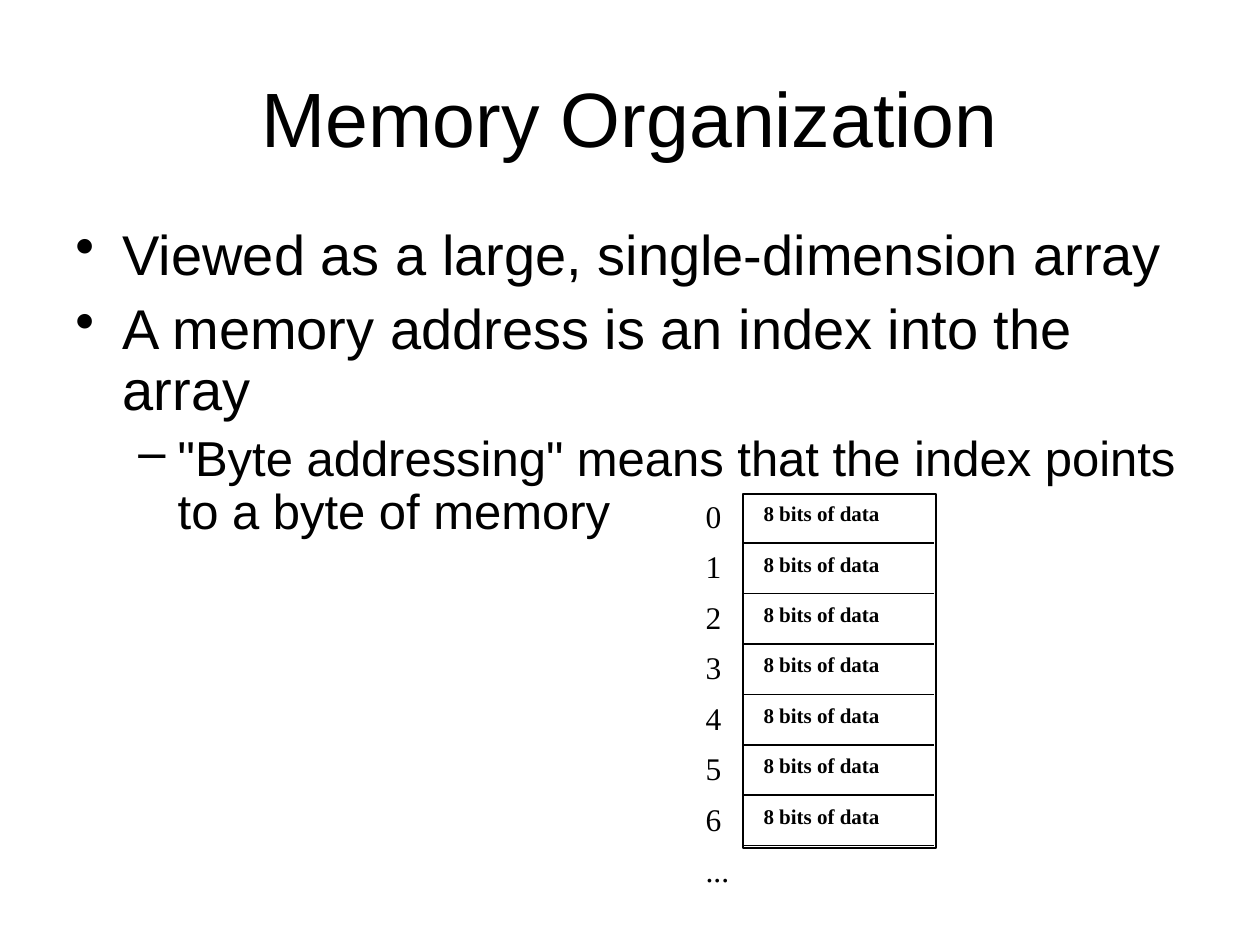
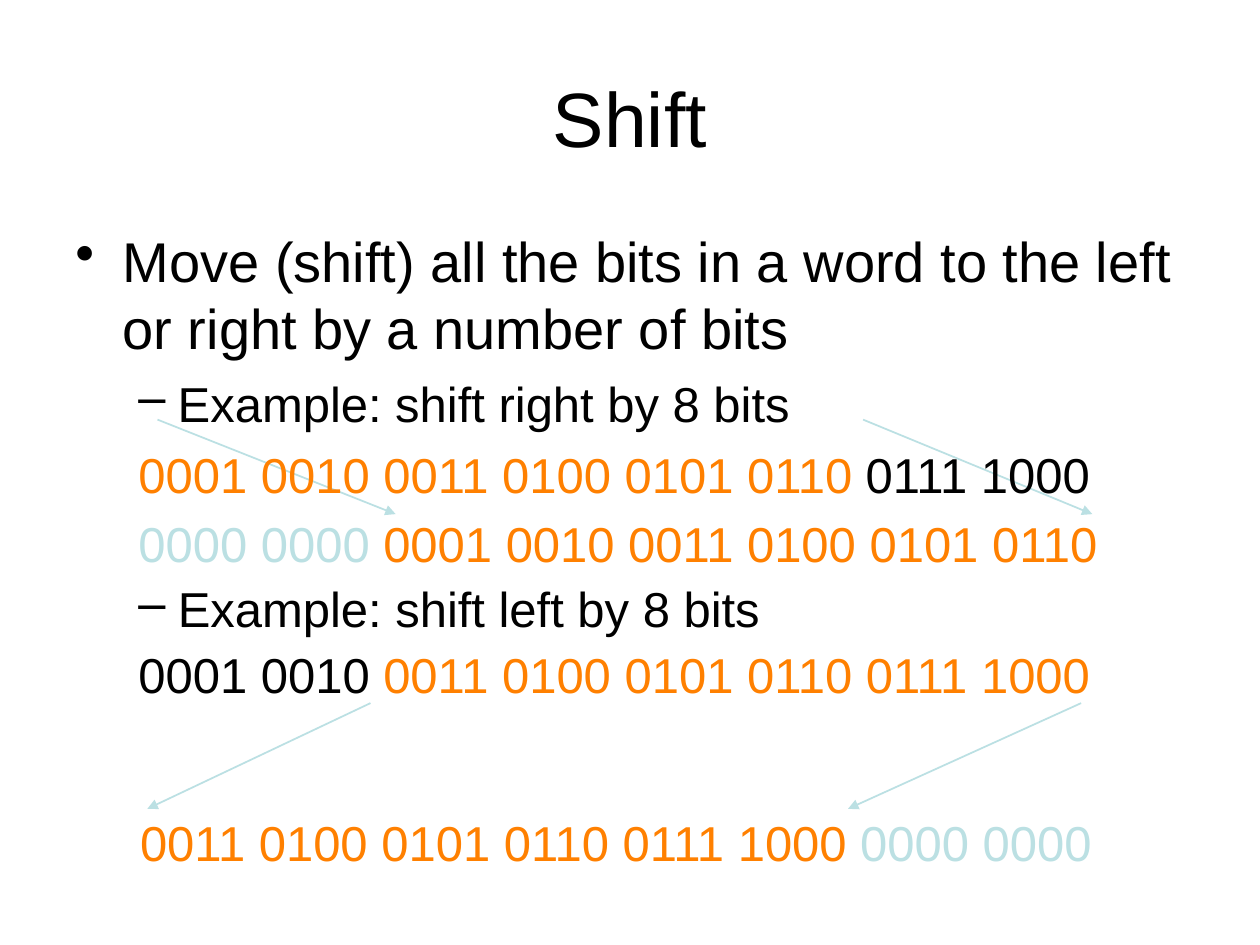
from lxml import etree
from pptx import Presentation
from pptx.dml.color import RGBColor
from pptx.enum import shapes, text
from pptx.oxml import ns
from pptx.util import Pt

BLACK = RGBColor(0x00, 0x00, 0x00)
WHITE = RGBColor(0xFF, 0xFF, 0xFF)
ORANGE = RGBColor(0xFF, 0x80, 0x00)
PALE_TEAL = RGBColor(0xBB, 0xE0, 0xE3)

SANS = "Arial"
SERIF = "Times New Roman"

TITLE_AREA = (36, 21.6, 648, 90)
BODY_AREA = (36, 126, 648, 356.4)
SHIFT_LEFT_AREA = (36, 293.76, 653.76, 113.76)
RESULT_AREA = (36, 462.24, 635.76, 37.44)

TITLE = dict(size=44, align=text.PP_ALIGN.CENTER)
POINT = dict(size=32, margin=27, indent=-27, before=8, bullet="•")
SUBPOINT = dict(size=28, level=1, margin=58.5, indent=-22.5, before=7, bullet="–")
BITS = dict(SUBPOINT, bullet=None)
RESULT = dict(size=28, level=1, margin=54, indent=-15)
ADDRESS = dict(size=18, font=SERIF, spacing=Pt(21))
CONTENT = dict(size=12, font=SERIF, bold=True, spacing=Pt(14))

MEMORY_POINTS = [
    (POINT, [("Viewed as a large, single-dimension array", BLACK)]),
    (POINT, [("A memory address is an index into the array", BLACK)]),
    (SUBPOINT, [('"Byte addressing" means that the index points to a byte of memory', BLACK)]),
]
ADDRESSES = ["0", "1", "2", "3", "4", "5", "6", "..."]
BYTE_TEXT = "8 bits of data"

SHIFT_RIGHT = [
    (POINT, [("Move (shift) all the bits in a word to the left or right by a number of bits", BLACK)]),
    (SUBPOINT, [("Example: shift right by 8 bits", BLACK)]),
    (BITS, [("0001 0010 0011 0100 0101 0110", ORANGE), (" 0111 1000", BLACK)]),
]
SHIFT_LEFT = [
    (BITS, [("0000 0000", PALE_TEAL), (" 0001 0010 0011 0100 0101 0110", ORANGE)]),
    (SUBPOINT, [("Example: shift left by 8 bits", BLACK)]),
    (BITS, [("0001 0010", BLACK), (" 0011 0100 0101 0110 0111 1000", ORANGE)]),
]
SHIFT_LEFT_RESULT = [
    (RESULT, [("0011 0100 0101 0110 0111 1000 ", ORANGE), ("0000 0000", PALE_TEAL)]),
]
SHIFT_ARROWS = [
    (211.7, 401.8, 84.2, 462.2),
    (617.8, 401.8, 484.6, 462.2),
    (90, 239.8, 226.1, 293.8),
    (493.2, 239.8, 624.2, 293.8),
]

CELL_LEFT, CELL_TOP = 424.8, 282.24
CELL_WIDTH, ROW_PITCH = 110.16, 28.8
BLOCK_HEIGHT = 202.3
RULE_TOP, RULE_WIDTH = 310.4, 108.72
ADDRESS_LEFT, ADDRESS_PITCH = 401.76, 28.9
CONTENT_LEFT, CONTENT_TOP = 434.88, 284.4


def add_bullet(para, mark):
    properties = para._p.get_or_add_pPr()
    color = etree.SubElement(properties, ns.qn("a:buClr"))
    etree.SubElement(color, ns.qn("a:srgbClr"), val=str(BLACK))
    etree.SubElement(properties, ns.qn("a:buChar"), char=mark)


def add_paragraph(para, style, spans):
    para.level = style.get("level", 0)
    para.alignment = style.get("align", text.PP_ALIGN.LEFT)
    para.line_spacing = style.get("spacing")
    if "before" in style:
        para.space_before = Pt(style["before"])
    if "margin" in style:
        properties = para._p.get_or_add_pPr()
        properties.set("marL", str(Pt(style["margin"])))
        properties.set("indent", str(Pt(style["indent"])))
    if style.get("bullet"):
        add_bullet(para, style["bullet"])
    for words, color in spans:
        span = para.add_run()
        span.text = words
        span.font.name = style.get("font", SANS)
        span.font.size = Pt(style["size"])
        span.font.bold = style.get("bold", False)
        span.font.color.rgb = color


def add_text(page, area, paragraphs, insets=(7.2, 3.6), wrap=True,
             anchor=text.MSO_ANCHOR.TOP, spacing=None):
    box = page.shapes.add_textbox(*map(Pt, area))
    frame = box.text_frame
    frame.word_wrap = wrap
    frame.vertical_anchor = anchor
    frame.margin_left = frame.margin_right = Pt(insets[0])
    frame.margin_top = frame.margin_bottom = Pt(insets[1])
    for number, (style, spans) in enumerate(paragraphs):
        para = frame.add_paragraph() if number else frame.paragraphs[0]
        add_paragraph(para, {"spacing": spacing, **style}, spans)


def add_line(page, ends, color, arrow=False):
    line = page.shapes.add_connector(shapes.MSO_CONNECTOR.STRAIGHT, *map(Pt, ends))
    line.line.color.rgb = color
    line.line.width = Pt(1)
    if arrow:
        etree.SubElement(line.line._get_or_add_ln(), ns.qn("a:tailEnd"), type="triangle")
    etree.SubElement(line._element.spPr, ns.qn("a:effectLst"))


def add_page(deck, title):
    page = deck.slides.add_slide(deck.slide_layouts[6])
    add_text(page, TITLE_AREA, [(TITLE, [(title, BLACK)])], anchor=text.MSO_ANCHOR.MIDDLE)
    return page


def add_memory_block(page):
    block = page.shapes.add_shape(
        shapes.MSO_SHAPE.RECTANGLE,
        *map(Pt, (CELL_LEFT, CELL_TOP, CELL_WIDTH, BLOCK_HEIGHT)))
    block.shadow.inherit = False
    block.fill.solid()
    block.fill.fore_color.rgb = WHITE
    block.line.color.rgb = BLACK
    block.line.width = Pt(1)
    for row, address in enumerate(ADDRESSES):
        add_text(page, (ADDRESS_LEFT, CELL_TOP + row * ADDRESS_PITCH, 48.96, 33.12),
                 [(ADDRESS, [(address, BLACK)])], insets=(1.44, 2.16), wrap=False)
    for row in range(len(ADDRESSES) - 1):
        rule = RULE_TOP + row * ROW_PITCH
        add_line(page, (CELL_LEFT, rule, CELL_LEFT + RULE_WIDTH, rule), BLACK)
        add_text(page, (CONTENT_LEFT, CONTENT_TOP + row * ROW_PITCH, 124.56, 25.92),
                 [(CONTENT, [(BYTE_TEXT, BLACK)])], insets=(1.44, 2.16), wrap=False)


def main():
    deck = Presentation()
    deck.slide_width, deck.slide_height = Pt(720), Pt(540)

    memory = add_page(deck, "Memory Organization")
    add_text(memory, BODY_AREA, MEMORY_POINTS, spacing=0.9)
    add_memory_block(memory)

    shift = add_page(deck, "Shift")
    for ends in SHIFT_ARROWS:
        add_line(shift, ends, PALE_TEAL, arrow=True)
    add_text(shift, RESULT_AREA, SHIFT_LEFT_RESULT, insets=(5.04, 2.16))
    add_text(shift, BODY_AREA, SHIFT_RIGHT)
    add_text(shift, SHIFT_LEFT_AREA, SHIFT_LEFT, spacing=0.9)

    deck.save("out.pptx")


if __name__ == "__main__":
    main()
